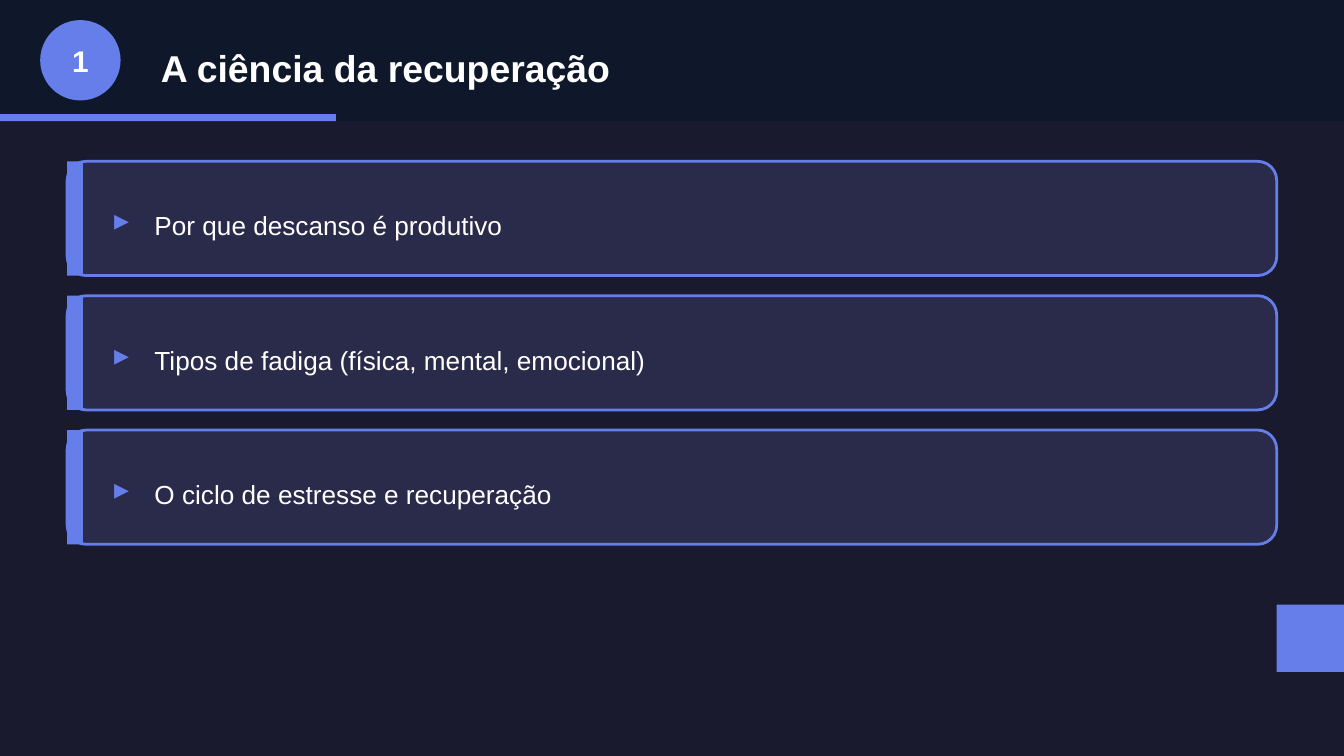
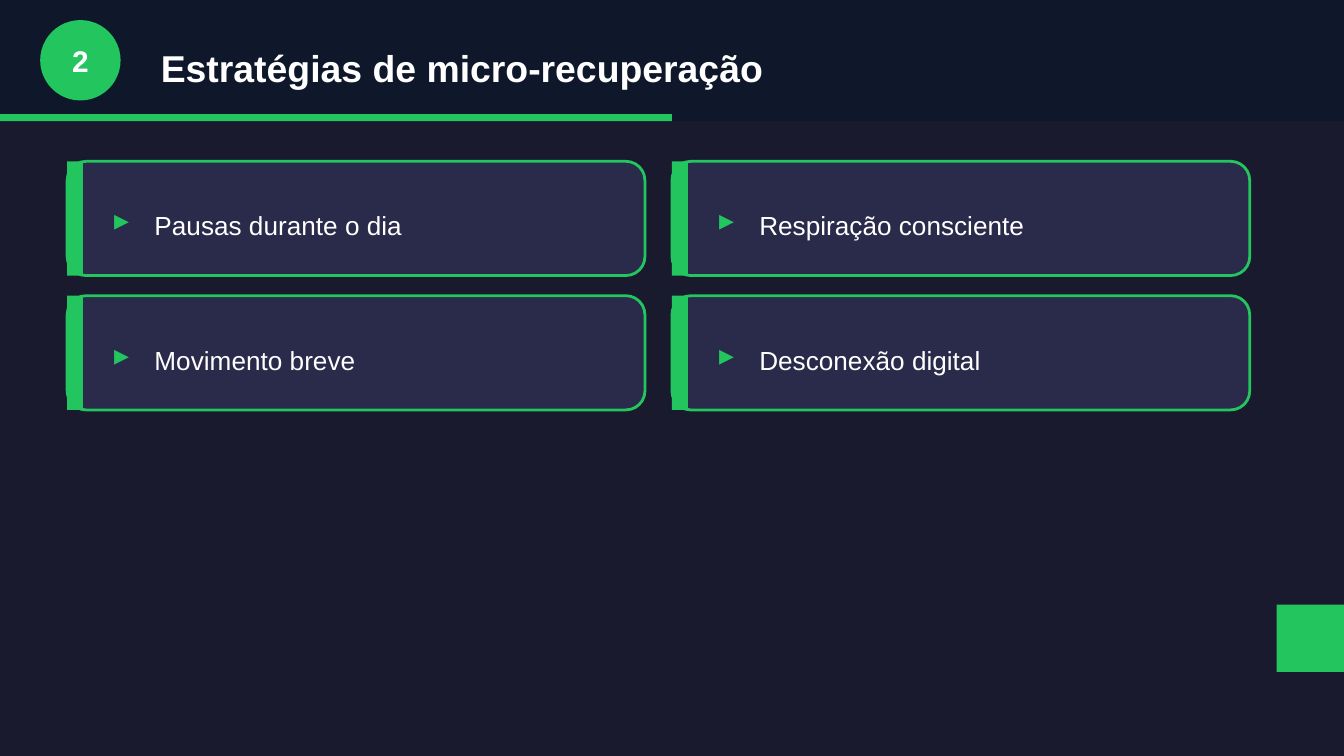
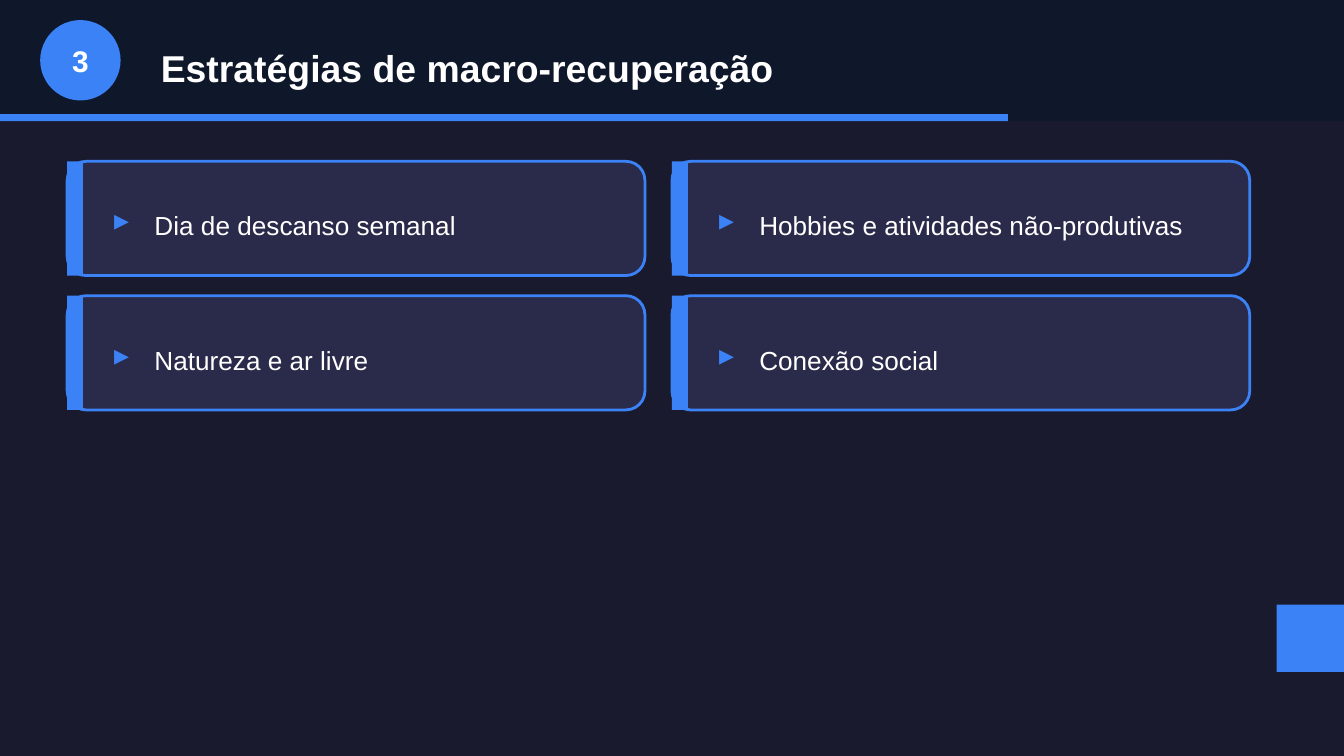
from pptx import Presentation
from pptx.dml.color import RGBColor
from pptx.enum.shapes import MSO_SHAPE
from pptx.enum.text import MSO_ANCHOR, PP_ALIGN
from pptx.util import Cm, Pt

RECT = MSO_SHAPE.RECTANGLE
ROUND = MSO_SHAPE.ROUNDED_RECTANGLE
OVAL = MSO_SHAPE.OVAL
MIDDLE = MSO_ANCHOR.MIDDLE
LEFT = PP_ALIGN.LEFT
CENTER = PP_ALIGN.CENTER

COLORS = {
    "back": "1A1A2E",
    "band": "0F172A",
    "card": "2A2A4A",
    "text": "FFFFFF",
    "violet": "667EEA",
    "green": "22C55E",
    "blue": "3B82F6",
}
FONT = "Arial"
WIDTH, HEIGHT = 25.4, 14.29
BAND, BAR = 2.29, 0.13
EDGE, TOP = 1.27, 3.05
TALL = 2.16
STEP_X, STEP_Y = 11.43, 2.54
SQUARE = 1.27

TOPICS = [
    ("A ciência da recuperação", "violet", 1, 22.86, [
        "Por que descanso é produtivo",
        "Tipos de fadiga (física, mental, emocional)",
        "O ciclo de estresse e recuperação",
    ]),
    ("Estratégias de micro-recuperação", "green", 2, 10.92, [
        "Pausas durante o dia",
        "Respiração consciente",
        "Movimento breve",
        "Desconexão digital",
    ]),
    ("Estratégias de macro-recuperação", "blue", 2, 10.92, [
        "Dia de descanso semanal",
        "Hobbies e atividades não-produtivas",
        "Natureza e ar livre",
        "Conexão social",
    ]),
]


def color(name):
    return RGBColor.from_string(COLORS[name])


class Deck:
    def __init__(self):
        self.show = Presentation()
        self.show.slide_width = Cm(WIDTH)
        self.show.slide_height = Cm(HEIGHT)
        self.slide = None
        self.accent = None

    def start(self, accent):
        self.slide = self.show.slides.add_slide(self.show.slide_layouts[6])
        self.accent = accent
        fill = self.slide.background.fill
        fill.solid()
        fill.fore_color.rgb = color("back")

    def shape(self, kind, x, y, w, h, fill, line=None):
        item = self.slide.shapes.add_shape(kind, Cm(x), Cm(y), Cm(w), Cm(h))
        item.shadow.inherit = False
        item.fill.solid()
        item.fill.fore_color.rgb = color(fill)
        if line:
            item.line.color.rgb = color(line)
            item.line.width = Pt(1.5)
        else:
            item.line.fill.background()

    def text(self, words, x, y, w, h, size, tint="text", bold=False, align=LEFT):
        box = self.slide.shapes.add_textbox(Cm(x), Cm(y), Cm(w), Cm(h))
        frame = box.text_frame
        frame.word_wrap = True
        frame.vertical_anchor = MIDDLE
        para = frame.paragraphs[0]
        para.alignment = align
        run = para.add_run()
        run.text = words
        run.font.name = FONT
        run.font.size = Pt(size)
        run.font.bold = bold
        run.font.color.rgb = color(tint)

    def header(self, title, number, share):
        self.shape(RECT, 0, 0, WIDTH, BAND, "band")
        self.shape(RECT, 0, BAND - BAR, WIDTH * share, BAR, self.accent)
        self.shape(OVAL, 0.76, 0.38, 1.52, 1.52, self.accent)
        self.text(str(number), 0.76, 0.64, 1.52, 1.02, 16, bold=True, align=CENTER)
        self.text(title, 2.79, 0.64, 21.59, 1.27, 20, bold=True)

    def card(self, words, x, y, wide):
        self.shape(ROUND, x, y, wide, TALL, "card", self.accent)
        self.shape(RECT, x, y, 0.3, TALL, self.accent)
        self.text("▸", x + 0.64, y + 0.64, 0.76, 0.89, 16, self.accent, True)
        self.text(words, x + 1.4, y + 0.64, wide - 2.03, 1.14, 14)

    def corner(self):
        self.shape(RECT, WIDTH - SQUARE, 11.43, SQUARE, SQUARE, self.accent)


def main():
    deck = Deck()
    for number, (title, accent, cols, wide, points) in enumerate(TOPICS, 1):
        deck.start(accent)
        deck.header(title, number, number / 4)
        for index, words in enumerate(points):
            row, col = divmod(index, cols)
            deck.card(words, EDGE + col * STEP_X, TOP + row * STEP_Y, wide)
        deck.corner()
    deck.show.save("out.pptx")


if __name__ == "__main__":
    main()
